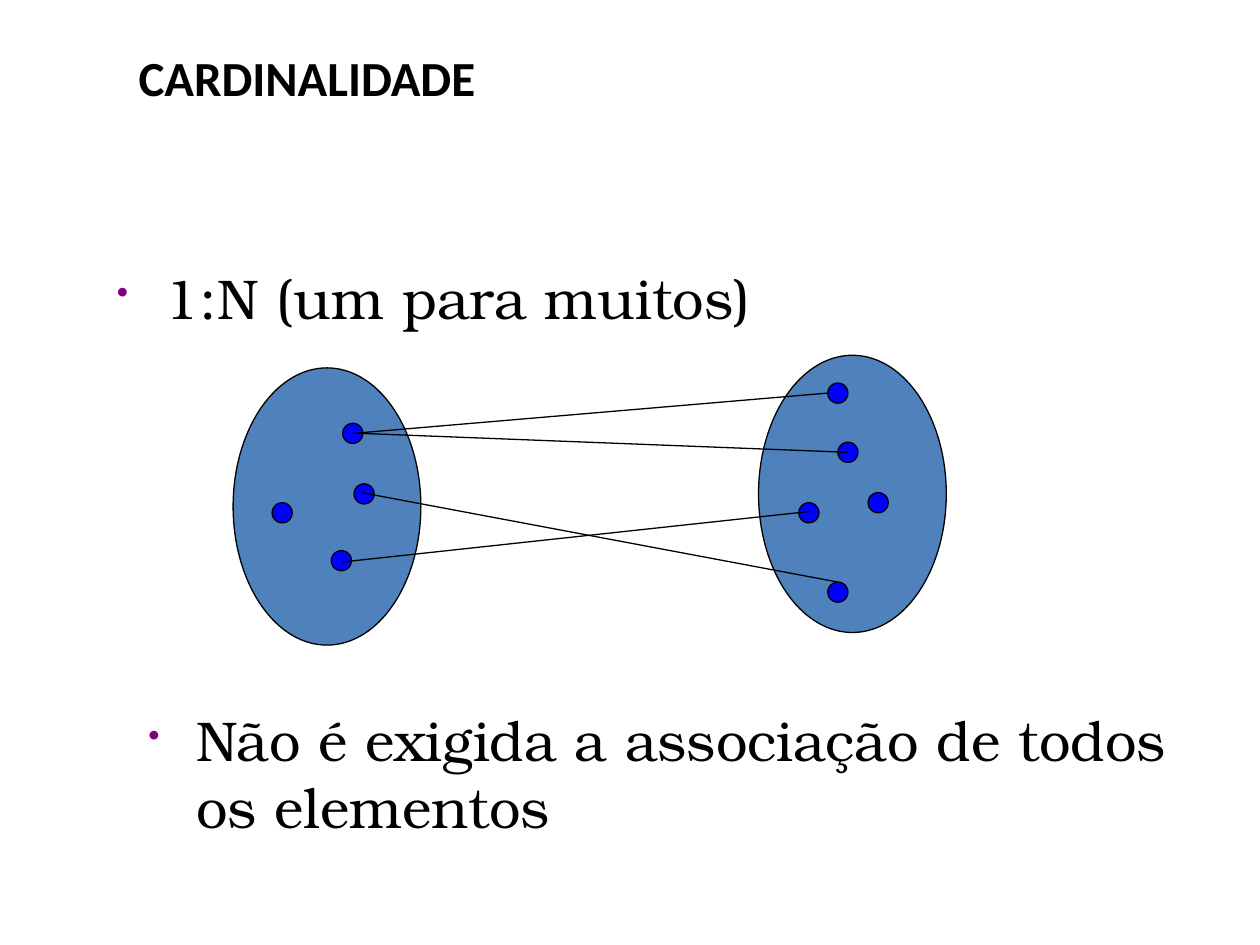
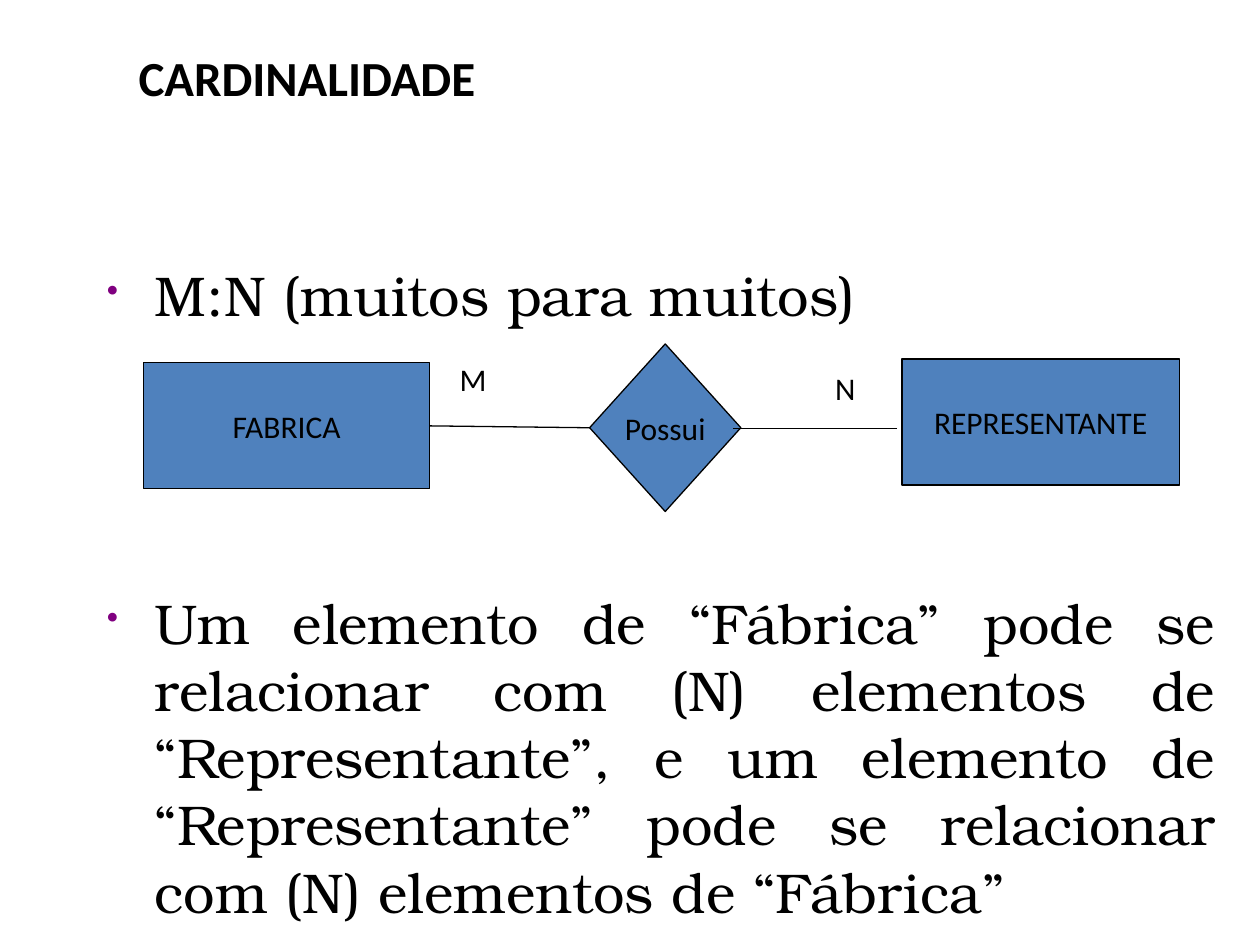
from dataclasses import dataclass

from lxml.etree import SubElement
from pptx import Presentation
from pptx.dml.color import RGBColor
from pptx.enum.shapes import MSO_CONNECTOR as Connector, MSO_SHAPE as Shape
from pptx.enum.text import MSO_ANCHOR as Anchor, MSO_AUTO_SIZE as AutoSize, PP_ALIGN as Align
from pptx.oxml.ns import qn
from pptx.util import Emu, Pt


@dataclass(frozen=True)
class Theme:
    ink: RGBColor = RGBColor(0x00, 0x00, 0x00)
    shape_fill: RGBColor = RGBColor(0x4F, 0x81, 0xBD)
    dot_fill: RGBColor = RGBColor(0x00, 0x00, 0xFF)
    bullet: str = "800080"
    label_font: str = "Calibri"
    body_font: str = "TeX Gyre Bonum"
    title_size: int = 28
    body_size: int = 32
    label_size: int = 18
    line_width: float = 0.75


THEME = Theme()
PX = 9144  # 100 px to the inch
DOT = 16
INDENT = 38
SET_SIZE = (149, 220)

# Left and top of each set, and of the dots in it
SETS = [(185, 292), (602, 282)]
DOTS = [(272, 336), (281, 384), (263, 437), (216, 399),
        (665, 351), (657, 304), (634, 399), (689, 391), (657, 462)]
LINKS = [(280, 344, 657, 312), (272, 446, 642, 406),
         (287, 391, 665, 462), (287, 344, 673, 359)]


def px(*lengths):
    return [Emu(length * PX) for length in lengths]


def write(box, text, font, size, align=Align.LEFT, bold=False):
    para = box.text_frame.paragraphs[0]
    para.text = text
    para.alignment = align
    for span in para.runs:
        span.font.name = font
        span.font.size = Pt(size)
        span.font.bold = bold
        span.font.color.rgb = THEME.ink
    return para


def add_page(deck, title):
    page = deck.slides.add_slide(deck.slide_layouts[5])
    box = page.shapes.title
    box.left, box.top, box.width, box.height = px(100, 33, 900, 74)
    box.text_frame.vertical_anchor = Anchor.TOP
    box.text_frame.auto_size = AutoSize.NONE
    write(box, title, THEME.label_font, THEME.title_size, bold=True)
    return page


def add_bullet(page, text, place, align=Align.LEFT):
    box = page.shapes.add_textbox(*px(*place))
    box.text_frame.word_wrap = True
    para = write(box, text, THEME.body_font, THEME.body_size, align)
    props = para._p.get_or_add_pPr()
    props.set("marL", str(INDENT * PX))
    props.set("indent", str(-INDENT * PX))
    color = SubElement(props, qn("a:buClr"))
    SubElement(color, qn("a:srgbClr"), val=THEME.bullet)
    SubElement(props, qn("a:buSzPct"), val="60000")
    SubElement(props, qn("a:buChar"), char="•")


def add_figure(page, kind, place, fill=THEME.shape_fill, text=""):
    figure = page.shapes.add_shape(kind, *px(*place))
    figure.shadow.inherit = False
    figure.fill.solid()
    figure.fill.fore_color.rgb = fill
    figure.line.color.rgb = THEME.ink
    figure.line.width = Pt(THEME.line_width)
    if text:
        figure.text_frame.word_wrap = False
        figure.text_frame.vertical_anchor = Anchor.MIDDLE
        write(figure, text, THEME.label_font, THEME.label_size, Align.CENTER)
    return figure


def add_line(page, ends):
    line = page.shapes.add_connector(Connector.STRAIGHT, *px(*ends))
    line.line.color.rgb = THEME.ink
    line.line.width = Pt(THEME.line_width)
    SubElement(line._element.spPr, qn("a:effectLst"))
    return line


def add_label(page, text, place):
    box = page.shapes.add_textbox(*px(*place))
    box.text_frame.word_wrap = False
    box.text_frame.auto_size = AutoSize.SHAPE_TO_FIT_TEXT
    write(box, text, THEME.label_font, THEME.label_size)


def build_one_to_many(deck):
    page = add_page(deck, "CARDINALIDADE")
    add_bullet(page, "1:N (um para muitos)", (83, 204, 892, 71))
    add_bullet(page, "Não é exigida a associação de todos os elementos",
               (108, 555, 867, 110))
    for corner in SETS:
        add_figure(page, Shape.OVAL, corner + SET_SIZE)
    for corner in DOTS:
        add_figure(page, Shape.OVAL, corner + (DOT, DOT), THEME.dot_fill)
    for ends in LINKS:
        add_line(page, ends)


def build_many_to_many(deck):
    page = add_page(deck, "CARDINALIDADE")
    add_bullet(page, "M:N (muitos para muitos)", (75, 202, 878, 71))

    # Entities and their relationship
    factory = add_figure(page, Shape.RECTANGLE, (114, 288, 227, 100), text="FABRICA")
    add_figure(page, Shape.RECTANGLE, (716, 285, 220, 100), text="REPRESENTANTE")
    relation = add_figure(page, Shape.DIAMOND, (468, 273, 120, 133), text="Possui")
    factory_line = add_line(page, (468, 338, 341, 338))
    factory_line.begin_connect(relation, 1)
    factory_line.end_connect(factory, 3)
    add_line(page, (712, 340, 582, 340))
    add_label(page, "M", (355, 281, 35, 40))
    add_label(page, "N", (653, 288, 33, 40))

    add_bullet(page, "Um elemento de “Fábrica” pode se relacionar com (N) elementos de "
               "“Representante”, e um elemento de “Representante” pode se relacionar "
               "com (N) elementos de “Fábrica”", (75, 462, 900, 255), Align.JUSTIFY)


def main():
    deck = Presentation()
    deck.slide_width, deck.slide_height = px(1000, 750)
    build_one_to_many(deck)
    build_many_to_many(deck)
    deck.save("out.pptx")


if __name__ == "__main__":
    main()
